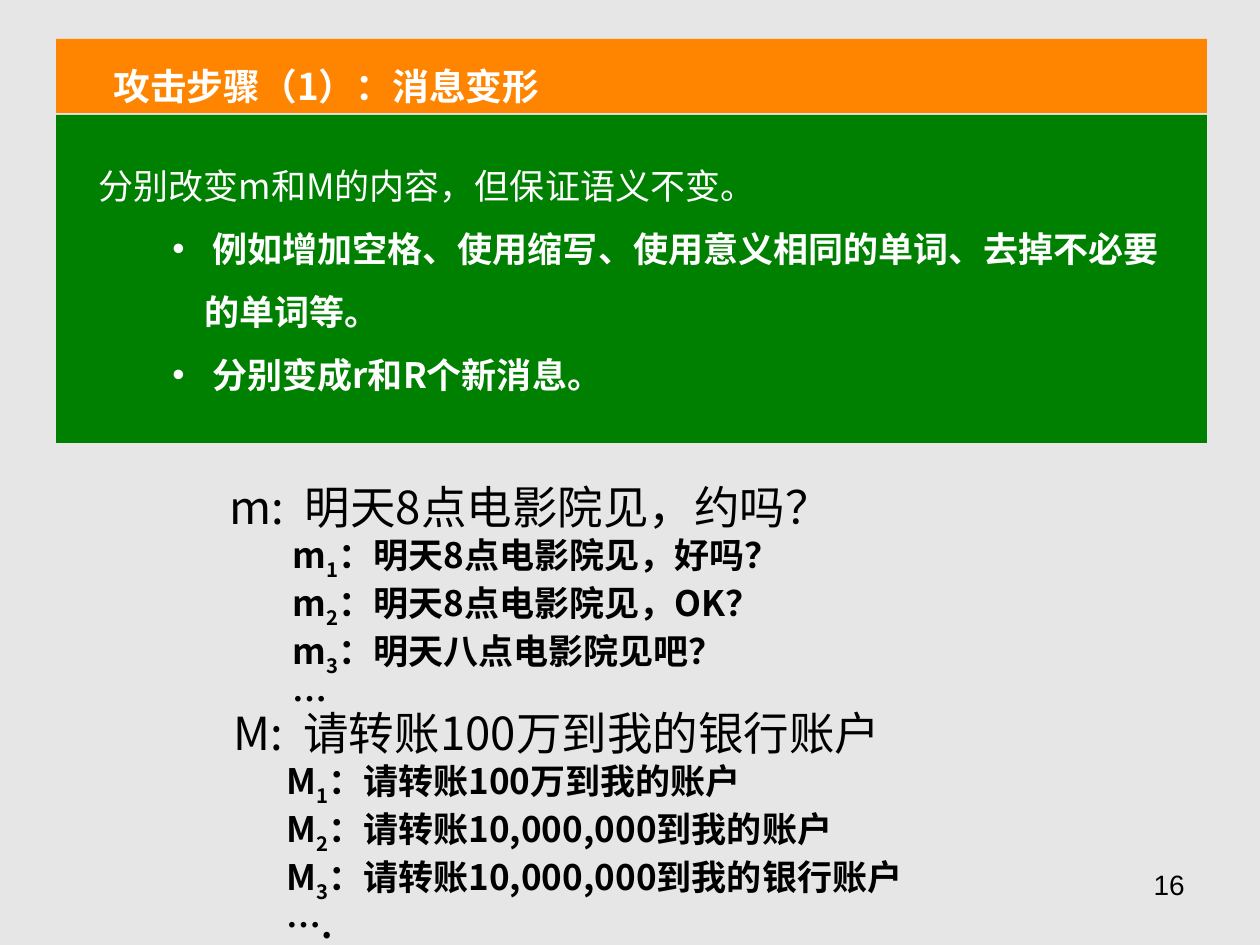
from lxml import etree
from pptx import Presentation
from pptx import util as u
from pptx.dml.color import RGBColor
from pptx.enum import shapes, text
from pptx.oxml.ns import qn

EMU_PER_PX = 914400 / 126
CJK = "Noto Sans CJK SC"
GREY = RGBColor(0xE7, 0xE6, 0xE6)
GREEN = RGBColor(0x00, 0x80, 0x00)
ORANGE = RGBColor(0xFF, 0x85, 0x00)
WHITE = RGBColor(0xFF, 0xFF, 0xFF)
BLACK = RGBColor(0x00, 0x00, 0x00)


def px(value):
    return u.Emu(round(value * EMU_PER_PX))


def add_panel(container, box, color):
    shape = container.shapes.add_shape(shapes.MSO_SHAPE.RECTANGLE, *map(px, box))
    shape.shadow.inherit = False
    shape.fill.solid()
    shape.fill.fore_color.rgb = color
    shape.line.fill.background()


def add_text_box(container, box, grow=True):
    frame = container.shapes.add_textbox(*map(px, box)).text_frame
    frame.word_wrap = True
    frame.auto_size = (text.MSO_AUTO_SIZE.SHAPE_TO_FIT_TEXT if grow
                       else text.MSO_AUTO_SIZE.NONE)
    return frame


def add_paragraph(frame, level=0, margin=0, indent=0, spacing=None, bullet=False):
    first = frame.paragraphs[0]
    paragraph = frame.add_paragraph() if first.runs else first
    paragraph.level = level
    paragraph.line_spacing = spacing
    properties = paragraph._p.get_or_add_pPr()
    properties.set("marL", str(px(margin)))
    properties.set("indent", str(px(indent)))
    if bullet:
        color = etree.SubElement(properties, qn("a:buClr"))
        etree.SubElement(color, qn("a:srgbClr"), val=str(WHITE))
        font = etree.SubElement(properties, qn("a:buFont"))
        font.set("typeface", "Arial")
        etree.SubElement(properties, qn("a:buChar")).set("char", "•")
    return paragraph


def add_run(paragraph, content, size, color, bold=False, font=CJK, subscript=False):
    run = paragraph.add_run()
    run.text = content
    run.font.size = u.Pt(size)
    run.font.bold = bold
    run.font.color.rgb = color
    run.font.name = font
    properties = run._r.get_or_add_rPr()
    etree.SubElement(properties, qn("a:ea")).set("typeface", font)
    if subscript:
        properties.set("baseline", "-25000")


def add_message(slide, box, letter, message, variants, ending, level, indent):
    frame = add_text_box(slide, box)
    add_run(add_paragraph(frame), f"{letter}:  {message}", 26, BLACK)
    for number, variant in enumerate(variants, 1):
        paragraph = add_paragraph(frame, level, 53, indent)
        add_run(paragraph, letter, 20, BLACK, bold=True)
        add_run(paragraph, str(number), 20, BLACK, bold=True, subscript=True)
        add_run(paragraph, f"：{variant}", 20, BLACK, bold=True)
    add_run(add_paragraph(frame, level, 53, indent), ending, 20, BLACK, bold=True)


def main():
    presentation = Presentation()
    presentation.slide_width, presentation.slide_height = px(1260), px(945)
    slide = presentation.slides.add_slide(presentation.slide_layouts[6])
    slide.background.fill.solid()
    slide.background.fill.fore_color.rgb = GREY

    # Slide number
    paragraph = add_paragraph(add_text_box(slide, (903, 861, 294, 66), grow=False))
    paragraph.alignment = text.PP_ALIGN.RIGHT
    add_run(paragraph, "16", 16, BLACK, font="Arial")

    # Green explanation panel
    group = slide.shapes.add_group_shape()
    add_panel(group, (56, 115, 1151, 328), GREEN)
    frame = add_text_box(group, (86, 137, 1092, 265))
    add_run(add_paragraph(frame, spacing=1.5),
            "分别改变m和M的内容，但保证语义不变。", 20, WHITE)
    for point in (" 例如增加空格、使用缩写、使用意义相同的单词、去掉不必要的单词等。",
                  " 分别变成r和R个新消息。"):
        paragraph = add_paragraph(frame, 3, 106, -32, 1.5, bullet=True)
        add_run(paragraph, point, 20, WHITE, bold=True)

    # Orange heading
    add_panel(group, (56, 39, 1151, 74), ORANGE)
    frame = add_text_box(group, (101, 35, 1076, 79))
    add_run(add_paragraph(frame, spacing=1.5),
            "攻击步骤（1）：消息变形", 21, WHITE, bold=True)

    # Messages with their variants
    add_message(slide, (217, 473, 660, 253), "m", "明天8点电影院见，约吗？",
                ("明天8点电影院见，好吗？", "明天8点电影院见，OK？", "明天八点电影院见吧？"),
                "…", level=1, indent=10)
    add_message(slide, (221, 699, 735, 253), "M", "请转账100万到我的银行账户",
                ("请转账100万到我的账户", "请转账10,000,000到我的账户",
                 "请转账10,000,000到我的银行账户"),
                "….", level=2, indent=0)

    presentation.save("out.pptx")


if __name__ == "__main__":
    main()
